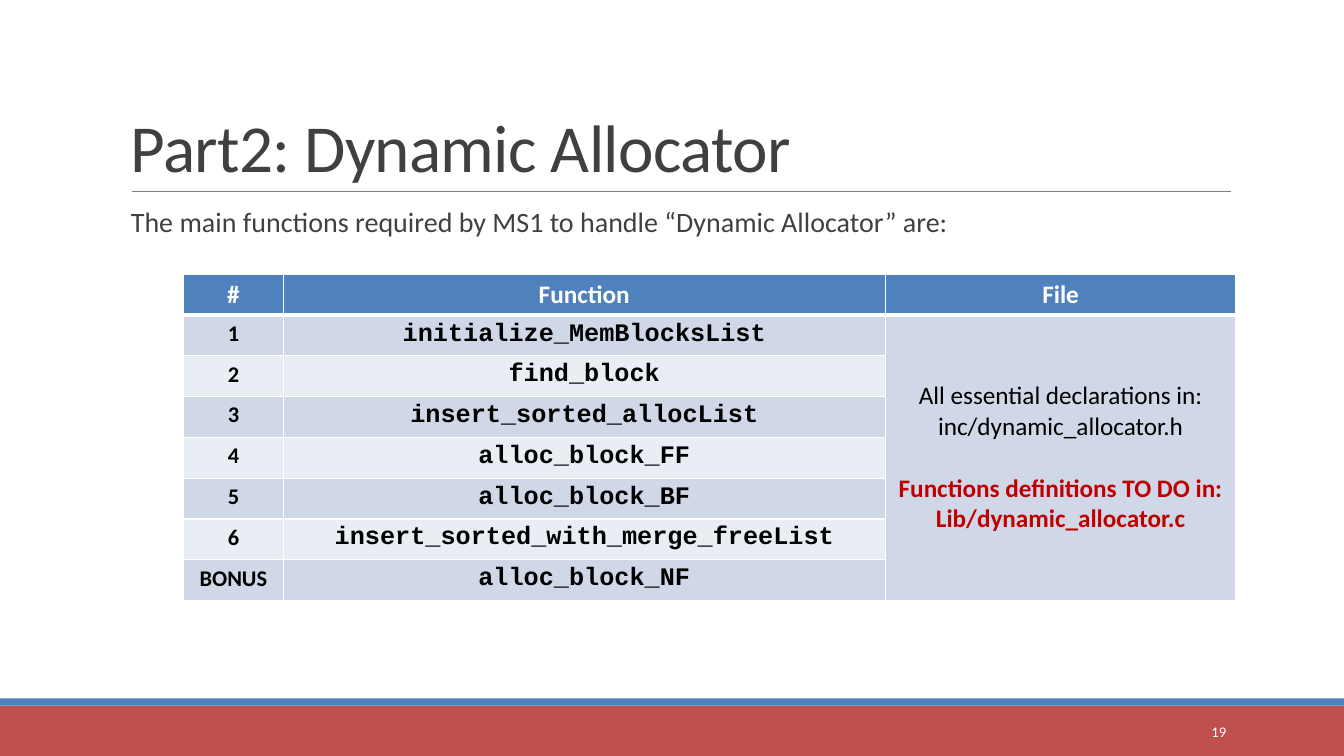
import lxml.etree
import pptx
import pptx.dml.color
import pptx.enum.shapes
import pptx.enum.text
import pptx.oxml.ns
import pptx.util

Inches = pptx.util.Inches
Pt = pptx.util.Pt
Align = pptx.enum.text.PP_ALIGN
Anchor = pptx.enum.text.MSO_ANCHOR
qn = pptx.oxml.ns.qn

BLUE, RED, WHITE, BLACK = "4F81BD", "C0504D", "FFFFFF", "000000"
GREY, BANDS = "404040", ("D0D8E8", "E9EDF4")
FUNCTIONS = [
    ("1", "initialize_MemBlocksList"),
    ("2", "find_block"),
    ("3", "insert_sorted_allocList"),
    ("4", "alloc_block_FF"),
    ("5", "alloc_block_BF"),
    ("6", "insert_sorted_with_merge_freeList"),
    ("BONUS", "alloc_block_NF"),
]
FILE_NOTES = [
    ("All essential declarations in:", False, 0),
    ("inc/dynamic_allocator.h", False, 0),
    ("Functions definitions TO DO in:", True, 22),
    ("Lib/dynamic_allocator.c", True, 0),
]


def color(value):
    return pptx.dml.color.RGBColor.from_string(value)


def write(paragraph, text, size, ink, bold=False, name="Calibri", align=Align.CENTER):
    paragraph.text = text
    paragraph.alignment = align
    font = paragraph.font
    font.size, font.name, font.bold = Pt(size), name, bold
    font.color.rgb = color(ink)


def add_text(page, box, text, size, ink, anchor=Anchor.TOP, align=Align.LEFT):
    frame = page.shapes.add_textbox(*map(Inches, box)).text_frame
    frame.word_wrap = True
    frame.vertical_anchor = anchor
    write(frame.paragraphs[0], text, size, ink, align=align)
    return frame.paragraphs[0]


def add_band(page, box, fill):
    band = page.shapes.add_shape(
        pptx.enum.shapes.MSO_SHAPE.RECTANGLE, *map(Inches, box))
    band.shadow.inherit = False
    band.fill.solid()
    band.fill.fore_color.rgb = color(fill)
    band.line.fill.background()


def add_footer(page, box):
    left, top, width, height = box
    stripe = 0.07
    add_band(page, (left, top + stripe, width, height - stripe), RED)
    add_band(page, (left, top, width, stripe), BLUE)
    add_text(page, (left + 10.83, top + 0.13, 1.43, 0.4), "19", 10.5, WHITE,
             Anchor.MIDDLE, Align.RIGHT)


def add_heading(page, box):
    left, top, width, height = box
    bottom = top + height
    title = add_text(page, box, "Part2: Dynamic Allocator", 48, GREY, Anchor.BOTTOM)
    title.line_spacing = 0.85
    title.runs[0].font._element.set("spc", "-50")
    rule = page.shapes.add_connector(
        pptx.enum.shapes.MSO_CONNECTOR.STRAIGHT,
        Inches(left + 0.11), Inches(bottom), Inches(left + 11.01), Inches(bottom))
    rule.line.color.rgb = color("808080")
    rule.line.width = Pt(0.5)
    lxml.etree.SubElement(rule._element.spPr, qn("a:effectLst"))


def add_intro(page, box):
    intro = add_text(
        page, box,
        "The main functions required by MS1 to handle “Dynamic Allocator” are:",
        20, GREY)
    intro.line_spacing = 0.9
    intro.space_before, intro.space_after = Pt(12), Pt(2)


def style_cell(cell, fill, bottom_width=1):
    properties = cell._tc.get_or_add_tcPr()
    for side, width in (("L", 1), ("R", 1), ("T", 1), ("B", bottom_width)):
        border = lxml.etree.SubElement(properties, qn("a:ln" + side), w=str(Pt(width)))
        solid = lxml.etree.SubElement(border, qn("a:solidFill"))
        lxml.etree.SubElement(solid, qn("a:srgbClr"), val=WHITE)
    cell.fill.solid()
    cell.fill.fore_color.rgb = color(fill)


def add_function_table(page, box):
    row_count = len(FUNCTIONS) + 1
    table = page.shapes.add_table(row_count, 3, *map(Inches, box)).table
    for column, width in zip(table.columns, (0.99, 5.97, 3.48)):
        column.width = Inches(width)
    for row in table.rows:
        row.height = Inches(box[3] / row_count)

    for cell, label in zip(table.rows[0].cells, ("#", "Function", "File")):
        style_cell(cell, BLUE, 3)
        write(cell.text_frame.paragraphs[0], label, 18, WHITE, True)

    for index, (number, function) in enumerate(FUNCTIONS):
        cells = list(table.rows[index + 1].cells)
        for cell in cells[:2]:
            style_cell(cell, BANDS[index % 2])
        style_cell(cells[2], BANDS[0])
        write(cells[0].text_frame.paragraphs[0], number, 16, BLACK, True)
        write(cells[1].text_frame.paragraphs[0], function, 18, BLACK, True, "Courier New")

    files = table.cell(1, 2)
    files.merge(table.cell(row_count - 1, 2))
    files.vertical_anchor = Anchor.MIDDLE
    frame = files.text_frame
    for index, (text, important, gap) in enumerate(FILE_NOTES):
        paragraph = frame.add_paragraph() if index else frame.paragraphs[0]
        write(paragraph, text, 18, "C00000" if important else BLACK, important)
        paragraph.space_before = Pt(gap)


def main():
    deck = pptx.Presentation()
    deck.slide_width, deck.slide_height = Inches(13.33), Inches(7.5)
    page = deck.slides.add_slide(deck.slide_layouts[6])
    add_footer(page, (0, 6.93, 13.33, 0.57))
    add_heading(page, (1.2, 0.31, 12.13, 1.59))
    add_intro(page, (1.2, 2.02, 11, 4.4))
    add_function_table(page, (1.82, 2.72, 10.44, 3.24))
    deck.save("out.pptx")


if __name__ == "__main__":
    main()
